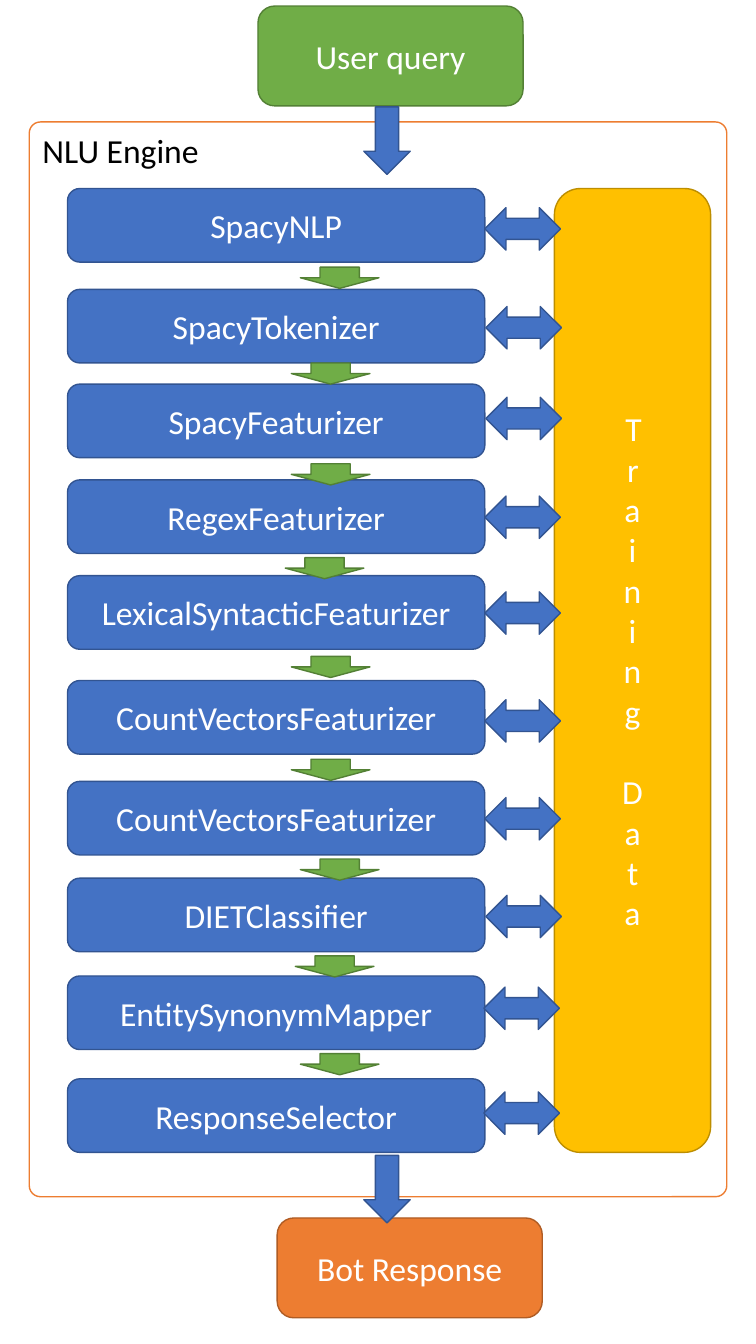
from pptx import Presentation
from pptx.dml.color import RGBColor
from pptx.enum.shapes import MSO_SHAPE as Shape
from pptx.enum.text import MSO_ANCHOR as Anchor, PP_ALIGN as Align
from pptx.util import Inches, Pt

BLUE = ("4472C4", "325491")
GREEN = ("70AD47", "538035")
ORANGE = ("ED7D31", "AF5C24")
GOLD = ("FFC000", "BD8E00")
FRAME = ("FFFFFF", "ED7D31")

QUERY = ("User query", 2.56, 0.06, GREEN)
RESPONSE = ("Bot Response", 2.75, 12.08, ORANGE)
ENGINE = "NLU Engine"
TRAINING = "Training Data"

# name, top of step, top of data arrow, left of data arrow
STEPS = [
    ("SpacyNLP", 1.87, 2.06, 4.81),
    ("SpacyTokenizer", 2.87, 3.04, 4.82),
    ("SpacyFeaturizer", 3.81, 3.94, 4.82),
    ("RegexFeaturizer", 4.76, 4.92, 4.81),
    ("LexicalSyntacticFeaturizer", 5.71, 5.87, 4.81),
    ("CountVectorsFeaturizer", 6.75, 6.94, 4.81),
    ("CountVectorsFeaturizer", 7.75, 7.91, 4.81),
    ("DIETClassifier", 8.71, 8.88, 4.82),
    ("EntitySynonymMapper", 9.68, 9.79, 4.8),
    ("ResponseSelector", 10.7, 10.83, 4.8),
]
NEXT_STEP_ARROWS = [
    (2.98, 2.65), (2.89, 3.6), (2.89, 4.6), (2.83, 5.53), (2.89, 6.51),
    (2.89, 7.53), (2.98, 8.52), (2.93, 9.48), (2.98, 10.45),
]
FLOW_ARROW_TOPS = [1.06, 11.46]

prs = Presentation()
prs.slide_width, prs.slide_height = Inches(7.5), Inches(13.33)
slide = prs.slides.add_slide(prs.slide_layouts[6])


def rgb(value):
    return RGBColor.from_string(value)


def add_part(kind, left, top, width, height, colors):
    part = slide.shapes.add_shape(kind, *map(Inches, (left, top, width, height)))
    fill, line = colors
    part.shadow.inherit = False
    part.fill.solid()
    part.fill.fore_color.rgb = rgb(fill)
    part.line.color.rgb = rgb(line)
    part.line.width = Pt(1)
    return part


def write(part, text, color="FFFFFF", align=Align.CENTER, anchor=Anchor.MIDDLE, size=24):
    frame = part.text_frame
    frame.word_wrap = True
    frame.vertical_anchor = anchor
    paragraph = frame.paragraphs[0]
    paragraph.alignment = align
    run = paragraph.add_run()
    run.text = text
    run.font.name = "Calibri"
    run.font.size = Pt(size)
    run.font.color.rgb = rgb(color)


for label, left, top, colors in (QUERY, RESPONSE):
    write(add_part(Shape.ROUNDED_RECTANGLE, left, top, 2.63, 0.99, colors), label)

engine = add_part(Shape.ROUNDED_RECTANGLE, 0.29, 1.21, 6.92, 10.66, FRAME)
engine.adjustments[0] = 0.016
write(engine, ENGINE, color="000000", align=Align.LEFT, anchor=Anchor.TOP)

training = add_part(Shape.ROUNDED_RECTANGLE, 5.5, 1.87, 1.55, 9.56, GOLD)
write(training, TRAINING)
training.text_frame._txBody.bodyPr.set("vert", "wordArtVert")

for name, top, data_top, data_left in STEPS:
    write(add_part(Shape.ROUNDED_RECTANGLE, 0.67, top, 4.14, 0.73, BLUE), name)
    add_part(Shape.LEFT_RIGHT_ARROW, data_left, data_top, 0.75, 0.42, BLUE)

for left, top in NEXT_STEP_ARROWS:
    add_part(Shape.DOWN_ARROW, left, top, 0.78, 0.21, GREEN)

for top in FLOW_ARROW_TOPS:
    add_part(Shape.DOWN_ARROW, 3.61, top, 0.46, 0.67, BLUE)

prs.save("out.pptx")
